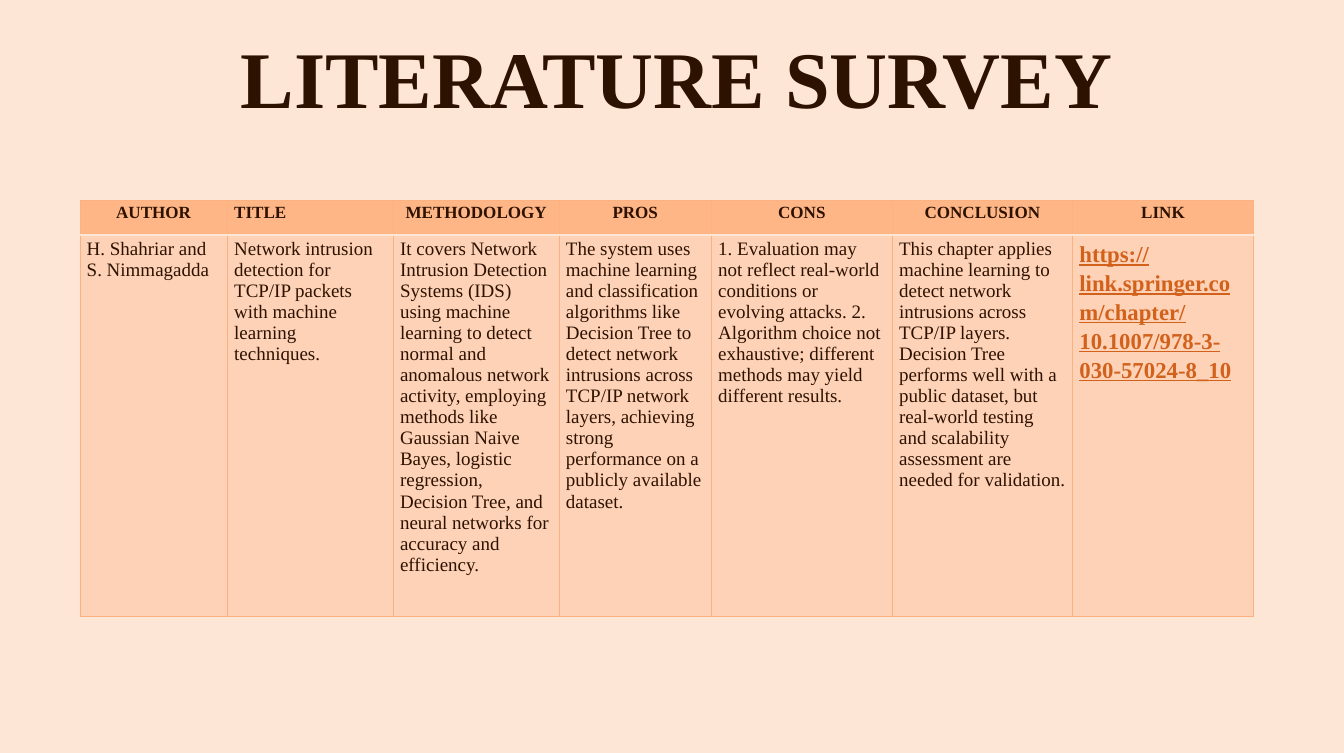
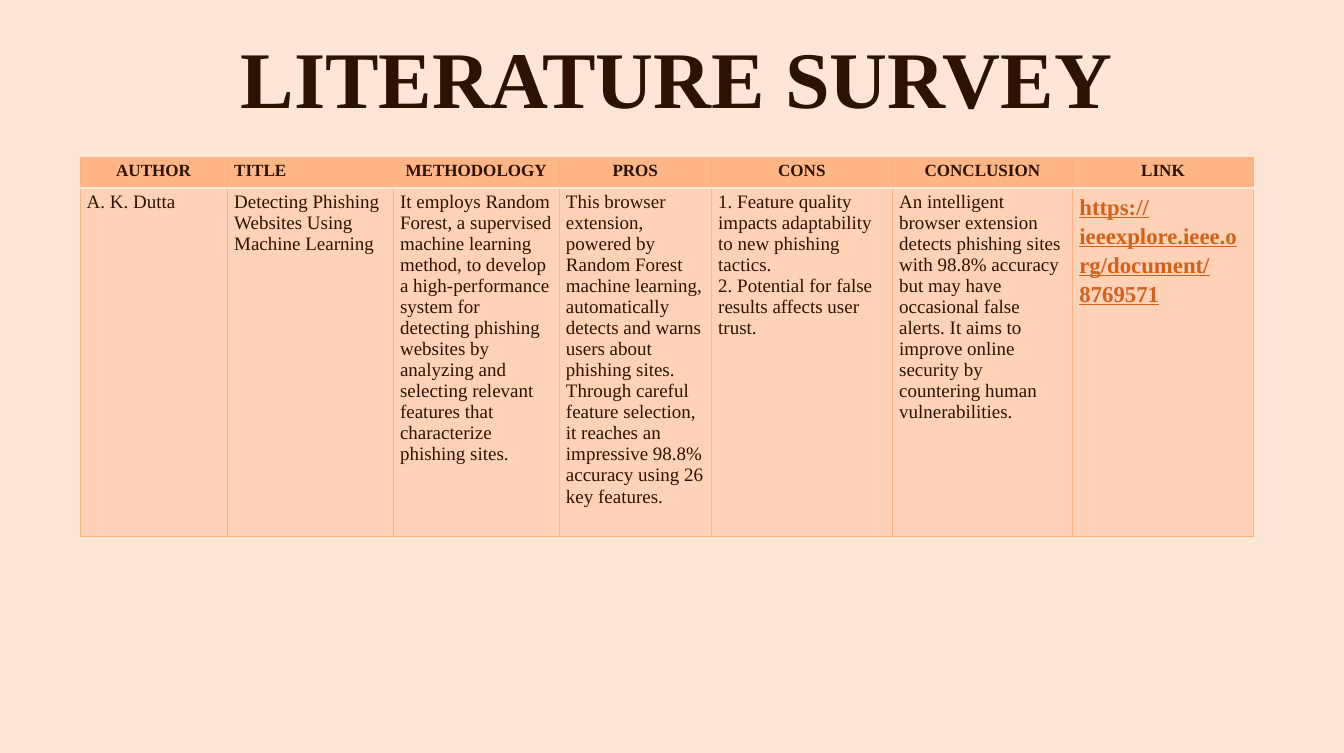
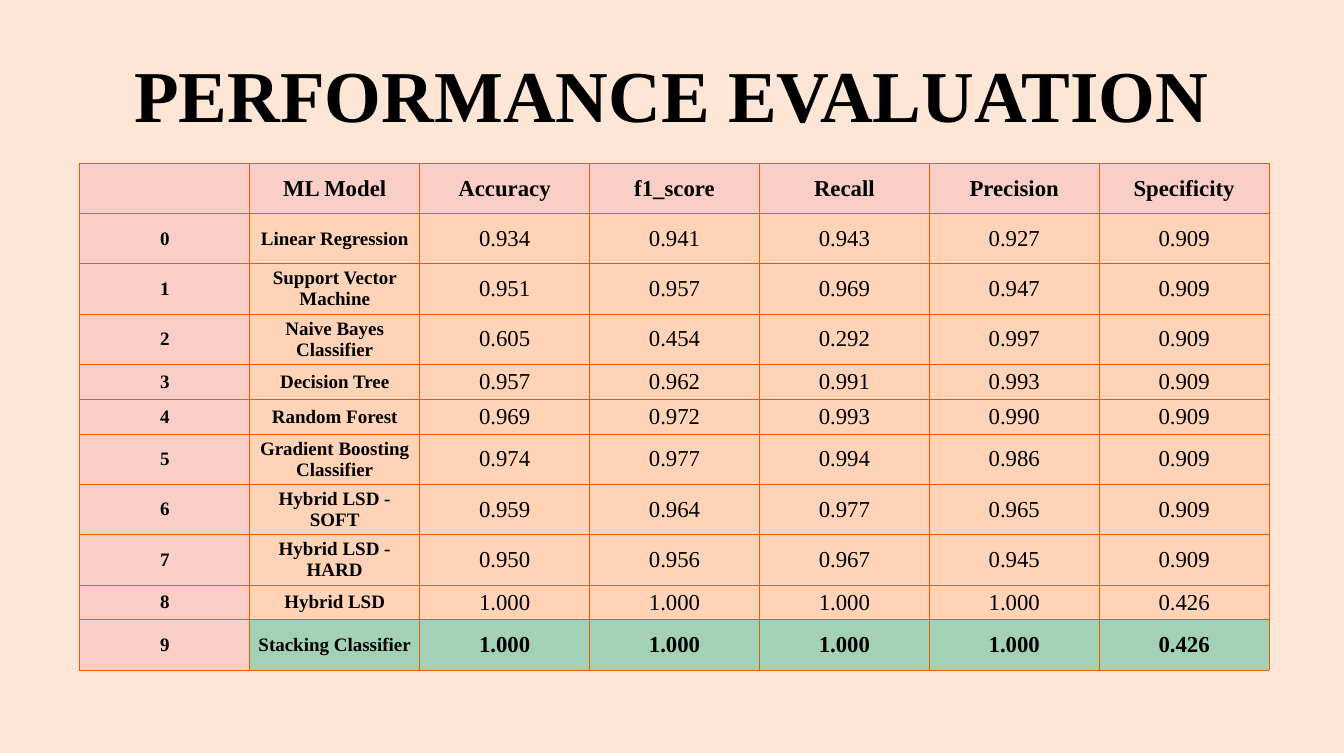
from dataclasses import dataclass

from lxml.etree import SubElement
from pptx import Presentation
from pptx.dml.color import RGBColor
from pptx.enum.text import MSO_ANCHOR, PP_ALIGN
from pptx.oxml.ns import qn
from pptx.util import Cm, Inches, Pt


# Theme: colours, type sizes, line widths
@dataclass(frozen=True)
class Theme:
    font: str = "Times New Roman"
    page: str = "FEE6D7"
    brown: str = "2E1201"
    black: str = "000000"
    link: str = "D2611C"
    peach: str = "FEB687"
    peach_line: str = "FBB181"
    pink: str = "F8CEC7"
    apricot: str = "FED3B7"
    green: str = "A3D1B5"
    orange_line: str = "E65C01"
    survey_title: float = 84.6
    scores_title: float = 77
    survey_head: float = 18
    body: float = 20
    large: float = 24
    thin: float = 0.75
    medium: float = 1
    thick: float = 2


THEME = Theme()
SLIDE_SIZE = Cm(50), Cm(28)
TABLE_LEFT = 1.17

# Content: literature surveys
SURVEY_TITLE = "LITERATURE SURVEY"
SURVEY_HEADS = ["AUTHOR", "TITLE", "METHODOLOGY", "PROS", "CONS", "CONCLUSION", "LINK"]
SURVEY_COLUMNS = [2.16, 2.43, 2.43, 2.23, 2.65, 2.64, 2.65]
SURVEYS = [
    dict(top=2.93, rows=[0.51, 5.58], entry=[
        "H. Shahriar and S. Nimmagadda",
        "Network intrusion detection for TCP/IP packets with machine learning techniques.",
        "It covers Network Intrusion Detection Systems (IDS) using machine learning to detect "
        "normal and anomalous network activity, employing methods like Gaussian Naive Bayes, "
        "logistic regression, Decision Tree, and neural networks for accuracy and efficiency.",
        "The system uses machine learning and classification algorithms like Decision Tree to "
        "detect network intrusions across TCP/IP network layers, achieving strong performance "
        "on a publicly available dataset.",
        "1. Evaluation may not reflect real-world conditions or evolving attacks. 2. Algorithm "
        "choice not exhaustive; different methods may yield different results.",
        "This chapter applies machine learning to detect network intrusions across TCP/IP "
        "layers. Decision Tree performs well with a public dataset, but real-world testing and "
        "scalability assessment are needed for validation.",
        "https://link.springer.com/chapter/10.1007/978-3-030-57024-8_10",
    ]),
    dict(top=2.31, rows=[0.44, 4.8], entry=[
        "A. K. Dutta",
        "Detecting Phishing Websites Using Machine Learning",
        "It employs Random Forest, a supervised machine learning method, to develop a "
        "high-performance system for detecting phishing websites by analyzing and selecting "
        "relevant features that characterize phishing sites.",
        "This browser extension, powered by Random Forest machine learning, automatically "
        "detects and warns users about phishing sites. Through careful feature selection, it "
        "reaches an impressive 98.8% accuracy using 26 key features.",
        "1. Feature quality impacts adaptability to new phishing tactics.\n"
        "2. Potential for false results affects user trust.",
        "An intelligent browser extension detects phishing sites with 98.8% accuracy but may "
        "have occasional false alerts. It aims to improve online security by countering human "
        "vulnerabilities.",
        "https://ieeexplore.ieee.org/document/8769571",
    ]),
]

# Content: model scores
SCORES_TITLE = "PERFORMANCE EVALUATION"
SCORE_HEADS = ["", "ML Model", "Accuracy", "f1_score", "Recall", "Precision", "Specificity"]
SCORES = [
    ("Linear Regression", 0.934, 0.941, 0.943, 0.927, 0.909),
    ("Support Vector Machine", 0.951, 0.957, 0.969, 0.947, 0.909),
    ("Naive Bayes Classifier", 0.605, 0.454, 0.292, 0.997, 0.909),
    ("Decision Tree", 0.957, 0.962, 0.991, 0.993, 0.909),
    ("Random Forest", 0.969, 0.972, 0.993, 0.990, 0.909),
    ("Gradient Boosting Classifier", 0.974, 0.977, 0.994, 0.986, 0.909),
    ("Hybrid LSD - SOFT", 0.959, 0.964, 0.977, 0.965, 0.909),
    ("Hybrid LSD - HARD", 0.950, 0.956, 0.967, 0.945, 0.909),
    ("Hybrid LSD", 1, 1, 1, 1, 0.426),
    ("Stacking Classifier", 1, 1, 1, 1, 0.426),
]
SHORT_MODELS = {"Decision Tree", "Random Forest", "Hybrid LSD"}
SCORES_TOP, SCORES_WIDTH, SCORES_HEIGHT, SHORT_ROW = 2.39, 17.42, 7.42, 0.51


# Shared parts
def style(paragraph, size, color, bold=False, align=None, underline=None):
    paragraph.alignment = align
    font = paragraph.font
    font.name, font.size, font.bold, font.underline = THEME.font, Pt(size), bold, underline
    font.color.rgb = RGBColor.from_string(color)


def add_page(deck, title, box, size, color):
    slide = deck.slides.add_slide(deck.slide_layouts[6])
    slide.background.fill.solid()
    slide.background.fill.fore_color.rgb = RGBColor.from_string(THEME.page)
    frame = slide.shapes.add_textbox(*map(Inches, box)).text_frame
    frame.word_wrap = True
    frame.vertical_anchor = MSO_ANCHOR.MIDDLE
    frame.margin_left = frame.margin_right = Inches(0.18)
    frame.margin_top = frame.margin_bottom = Inches(0.09)
    frame.text = title
    style(frame.paragraphs[0], size, color, True, PP_ALIGN.CENTER)
    return slide


def add_grid(slide, top, columns, rows):
    table = slide.shapes.add_table(
        len(rows), len(columns), Inches(TABLE_LEFT), Inches(top),
        Inches(sum(columns)), Inches(sum(rows))).table
    table.first_row = table.horz_banding = False
    for column, width in zip(table.columns, columns):
        column.width = Inches(width)
    for row, height in zip(table.rows, rows):
        row.height = Inches(height)
    return table


def paint(cell, fill, line, opacity=100, **sides):
    """Fill a cell and draw its borders; sides overrides line for L, R, T or B."""
    properties = cell._tc.get_or_add_tcPr()
    for side in "LRTB":
        color, width = sides.get(side, line)
        border = SubElement(properties, qn(f"a:ln{side}"), w=str(Pt(width)))
        SubElement(SubElement(border, qn("a:solidFill")), qn("a:srgbClr"), val=color)
    cell.fill.solid()
    cell.fill.fore_color.rgb = RGBColor.from_string(fill)
    if opacity < 100:
        color = properties.find(qn("a:solidFill")).find(qn("a:srgbClr"))
        SubElement(color, qn("a:alpha"), val=str(opacity * 1000))


# Slides
def add_survey(deck, top, rows, entry):
    slide = add_page(deck, SURVEY_TITLE, (1.87, 0.36, 16.08, 1.53),
                     THEME.survey_title, THEME.brown)
    table = add_grid(slide, top, SURVEY_COLUMNS, rows)
    line, divider = (THEME.peach_line, THEME.thin), (THEME.page, THEME.thick)
    for c, (head, text) in enumerate(zip(SURVEY_HEADS, entry)):
        head_cell, entry_cell = table.cell(0, c), table.cell(1, c)
        paint(head_cell, THEME.peach, line, B=divider)
        paint(entry_cell, THEME.peach, line, opacity=40, T=divider)
        head_cell.text, entry_cell.text = head, text
        align = PP_ALIGN.JUSTIFY if head == "TITLE" else PP_ALIGN.CENTER
        style(head_cell.text_frame.paragraphs[0], THEME.survey_head, THEME.brown, True, align)
        for paragraph in entry_cell.text_frame.paragraphs:
            if head == "LINK":
                paragraph.line_spacing, paragraph.space_after = 1.15, Pt(10)
                style(paragraph, THEME.large, THEME.link, True, PP_ALIGN.JUSTIFY, True)
            else:
                style(paragraph, THEME.body, THEME.brown)


def add_scores(deck):
    slide = add_page(deck, SCORES_TITLE, (0.98, 0.44, 17.72, 1.84),
                     THEME.scores_title, THEME.black)
    lines = [SCORE_HEADS] + [
        [str(i), model, *(f"{score:.3f}" for score in scores)]
        for i, (model, *scores) in enumerate(SCORES)]
    short_count = len(SHORT_MODELS)
    tall_row = (SCORES_HEIGHT - short_count * SHORT_ROW) / (len(lines) - short_count)
    heights = [SHORT_ROW if line[1] in SHORT_MODELS else tall_row for line in lines]
    count = len(SCORE_HEADS)
    table = add_grid(slide, SCORES_TOP, [SCORES_WIDTH / count] * count, heights)
    last = len(lines) - 1
    for r, line in enumerate(lines):
        for c, text in enumerate(line):
            cell = table.cell(r, c)
            label = r == 0 or c == 0
            fill = THEME.pink if label else THEME.green if r == last else THEME.apricot
            paint(cell, fill, (THEME.orange_line, THEME.medium))
            cell.vertical_anchor = MSO_ANCHOR.MIDDLE
            cell.margin_left = cell.margin_right = Inches(0.05)
            cell.margin_top = cell.margin_bottom = Inches(0.03)
            cell.text = text
            size = THEME.body if r and c < 2 else THEME.large
            style(cell.text_frame.paragraphs[0], size, THEME.black,
                  label or c == 1 or r == last, PP_ALIGN.CENTER)


def main():
    deck = Presentation()
    deck.slide_width, deck.slide_height = SLIDE_SIZE
    for survey in SURVEYS:
        add_survey(deck, **survey)
    add_scores(deck)
    deck.save("out.pptx")


if __name__ == "__main__":
    main()
